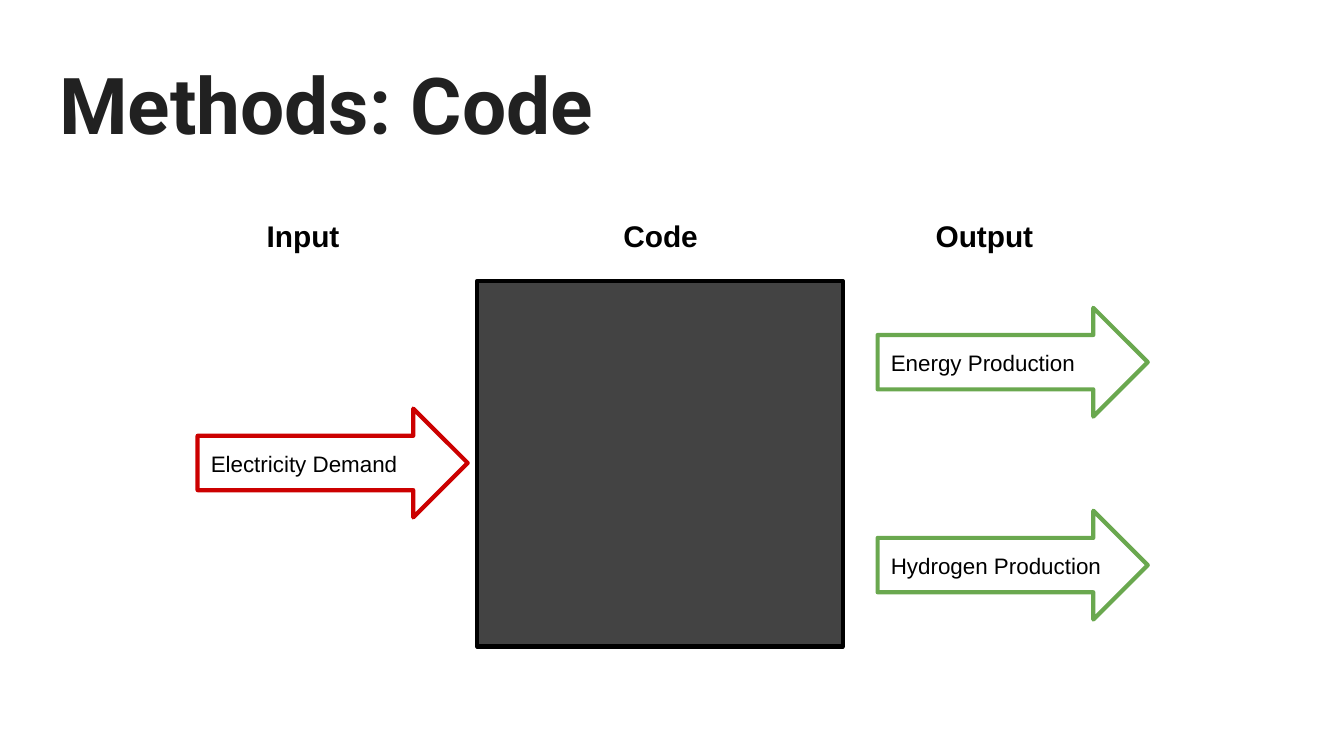
"""Builds the Methods: Code slide, with arrows into and out of a black box."""
from pptx import Presentation
from pptx import util as u
from pptx.dml.color import RGBColor
from pptx.enum import shapes, text

INK = RGBColor(0x21, 0x21, 0x21)
BLACK = RGBColor(0, 0, 0)
GREY = RGBColor(0x43, 0x43, 0x43)
RED = RGBColor(0xCC, 0, 0)
GREEN = RGBColor(0x6A, 0xA8, 0x4F)

deck = Presentation()
deck.slide_width = u.Inches(10)
deck.slide_height = deck.slide_width * 9 // 16
slide = deck.slides.add_slide(deck.slide_layouts[5])


def write(box, words, size, bold=False, align=text.PP_ALIGN.LEFT, face="Arial", ink=BLACK):
    frame = box.text_frame
    frame.word_wrap = True
    frame.auto_size = text.MSO_AUTO_SIZE.NONE
    frame.vertical_anchor = text.MSO_ANCHOR.TOP
    frame.margin_left = frame.margin_right = u.Inches(0.1)
    frame.margin_top = frame.margin_bottom = u.Inches(0.1)
    frame.text = words
    para = frame.paragraphs[0]
    para.alignment = align
    para.font.name, para.font.size = face, u.Pt(size)
    para.font.bold, para.font.color.rgb = bold, ink


def draw(kind, left, top, width, height, edge, fill=None):
    shape = slide.shapes.add_shape(kind, *map(u.Inches, (left, top, width, height)))
    shape.shadow.inherit = False
    if fill is None:
        shape.fill.background()
    else:
        shape.fill.solid()
        shape.fill.fore_color.rgb = fill
    shape.line.color.rgb, shape.line.width = edge, u.Pt(2.25)


title = slide.shapes.title
title.left, title.top = u.Inches(0.34), u.Inches(0.32)
title.width, title.height = u.Inches(9.32), u.Inches(0.88)
write(title, "Methods: Code", 42, True, face="Roboto", ink=INK)

draw(shapes.MSO_SHAPE.RECTANGLE, 3.55, 2.09, 2.72, 2.72, BLACK, GREY)

for head, left in (("Input", 1.53), ("Code", 4.19), ("Output", 6.6)):
    box = slide.shapes.add_textbox(*map(u.Inches, (left, 1.52, 1.45, 0.75)))
    write(box, head, 16, True, text.PP_ALIGN.CENTER)

flows = (
    ("Electricity Demand", 1.47, 3.04, 1.74, RED),
    ("Energy Production", 6.53, 2.29, 1.74, GREEN),
    ("Hydrogen Production", 6.53, 3.8, 1.85, GREEN),
)
for label, left, top, width, edge in flows:
    draw(shapes.MSO_SHAPE.RIGHT_ARROW, left, top, 2.01, 0.81, edge)
    box = slide.shapes.add_textbox(*map(u.Inches, (left, top + 0.21, width, 0.37)))
    write(box, label, 12)

deck.save("out.pptx")
